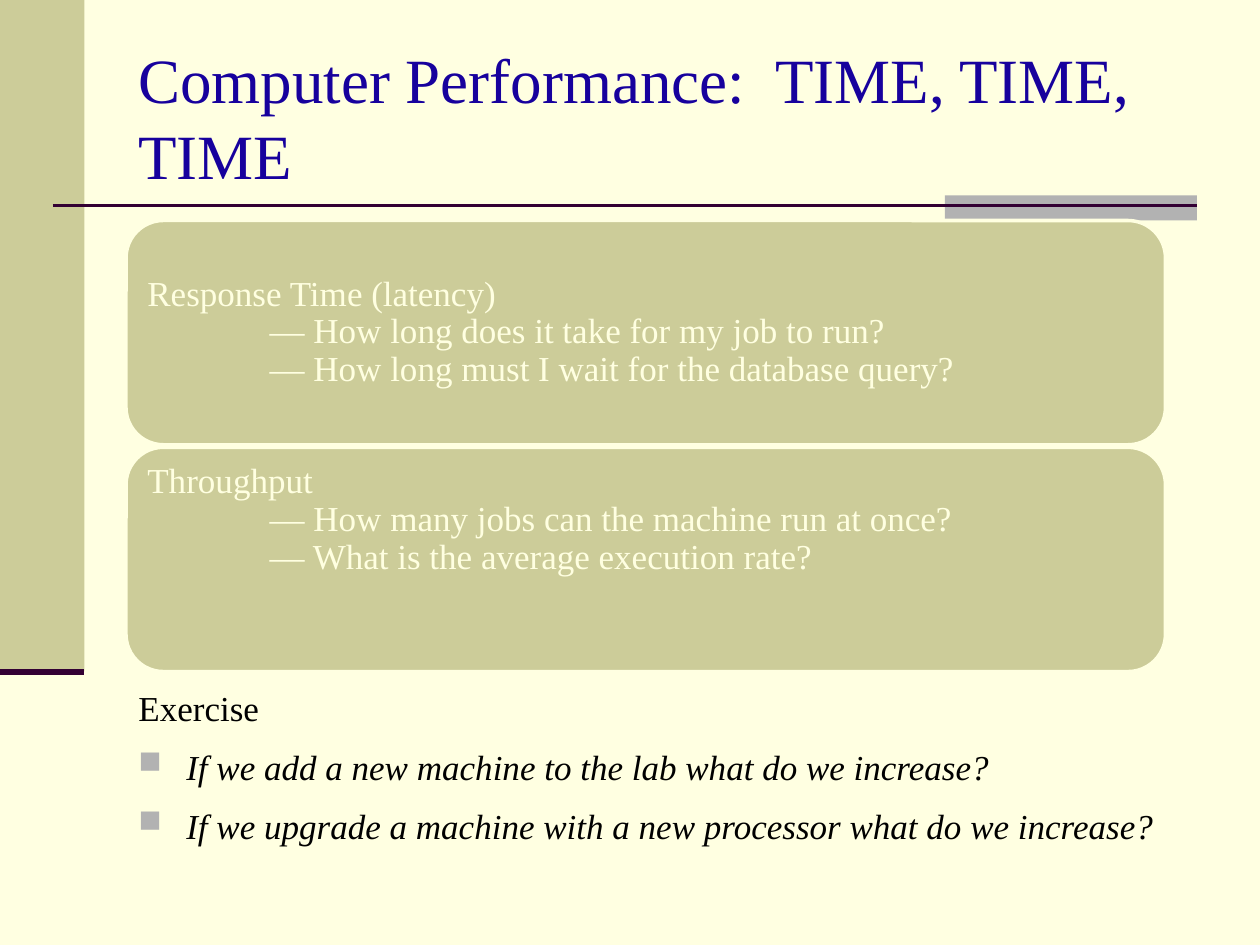
from lxml.etree import SubElement
from pptx import Presentation
from pptx.dml.color import RGBColor
from pptx.enum.shapes import MSO_CONNECTOR, MSO_SHAPE
from pptx.enum.text import MSO_ANCHOR
from pptx.oxml.ns import qn
from pptx.util import Inches, Pt

COLORS = {
    "background": "FFFFE1",
    "khaki": "CCCC99",
    "gray": "B2B2B2",
    "plum": "330033",
    "title": "17019D",
    "text": "000000",
}
FONT = "Times New Roman"
PANELS = [
    ("Response Time (latency)",
     ["— How long does it take for my job to run?",
      "— How long must I wait for the database query?"],
     MSO_ANCHOR.MIDDLE, 0.08),
    ("Throughput",
     ["— How many jobs can the machine run at once?",
      "— What is the average execution rate?"],
     MSO_ANCHOR.TOP, 0.04),
]
QUESTIONS = [
    "If we add a new machine to the lab what do we increase?",
    "If we upgrade a machine with a new processor what do we increase?",
]


def color(name):
    """Return the named palette colour."""
    return RGBColor.from_string(COLORS[name])


def add_block(slide, kind, box, fill, outline=None):
    """Add a filled shape with an optional outline."""
    shape = slide.shapes.add_shape(kind, *map(Inches, box))
    shape.shadow.inherit = False
    shape.fill.solid()
    shape.fill.fore_color.rgb = color(fill)
    if outline:
        shape.line.color.rgb = color(outline)
        shape.line.width = Pt(2)
    else:
        shape.line.fill.background()


def add_rule(slide, left, right, top, width):
    """Add a horizontal rule without a shadow."""
    line = slide.shapes.add_connector(
        MSO_CONNECTOR.STRAIGHT, Inches(left), Inches(top), Inches(right), Inches(top))
    line.line.color.rgb = color("plum")
    line.line.width = Pt(width)
    SubElement(line._element.spPr, qn("a:effectLst"))


def add_frame(slide, box, anchor=MSO_ANCHOR.TOP, inset=None, top_inset=0.05):
    """Add a wrapping text box and return its text frame."""
    frame = slide.shapes.add_textbox(*map(Inches, box)).text_frame
    frame.word_wrap = True
    frame.vertical_anchor = anchor
    if inset is not None:
        frame.margin_left = frame.margin_right = frame.margin_bottom = Inches(inset)
    frame.margin_top = Inches(top_inset)
    return frame


def add_text(frame, text, size=20, fill="text", italic=False, spacing=1.0,
             before=0, indent=0, bullet=False):
    """Write one formatted paragraph into a text frame."""
    first = frame.paragraphs[0]
    paragraph = frame.add_paragraph() if first.runs else first
    paragraph.line_spacing = spacing
    paragraph.space_before = Pt(before)
    run = paragraph.add_run()
    run.text = text
    run.font.name = FONT
    run.font.size = Pt(size)
    run.font.italic = italic
    run.font.color.rgb = color(fill)
    properties = paragraph._p.get_or_add_pPr()
    properties.set("marL", str(Inches(indent)))
    if bullet:
        properties.set("indent", str(-Inches(indent)))
        bullet_color = SubElement(properties, qn("a:buClr"))
        SubElement(bullet_color, qn("a:srgbClr"), val=COLORS["gray"])
        SubElement(properties, qn("a:buSzPct"), val="90000")
        SubElement(properties, qn("a:buChar"), char="■")


def add_decoration(slide, left, top):
    """Place the side band, the accent bar and their rules."""
    add_block(slide, MSO_SHAPE.RECTANGLE, (left, top, 0.67, 5.33), "khaki")
    add_block(slide, MSO_SHAPE.RECTANGLE, (left + 7.5, top + 1.55, 2, 0.2), "gray")
    add_rule(slide, left + 0.42, left + 9.5, top + 1.63, 1.5)
    add_rule(slide, left, left + 0.67, top + 5.33, 3.5)


def add_title(slide, box):
    """Place the slide title."""
    frame = add_frame(slide, box, MSO_ANCHOR.MIDDLE)
    add_text(frame, "Computer Performance:  TIME, TIME, TIME", size=36, fill="title")


def add_panel(slide, box, heading, points, anchor, top_inset):
    """Place a rounded panel with a heading and indented points."""
    left, top, width, height = box
    margin = 0.09
    add_block(slide, MSO_SHAPE.ROUNDED_RECTANGLE, box, "khaki", "background")
    inner = (left + margin, top + margin, width - 2 * margin, height - 2 * margin)
    frame = add_frame(slide, inner, anchor, 0.08, top_inset)
    add_text(frame, heading, fill="background", spacing=0.9)
    for point in points:
        add_text(frame, point, fill="background", spacing=0.9, indent=0.97)


def add_exercise(slide, box):
    """Place the exercise heading and its bulleted questions."""
    frame = add_frame(slide, box)
    add_text(frame, "Exercise", spacing=1.2, before=5)
    for question in QUESTIONS:
        add_text(frame, question, italic=True, spacing=1.2, before=5,
                 indent=0.38, bullet=True)


def main():
    """Build and save the presentation."""
    presentation = Presentation()
    presentation.slide_width, presentation.slide_height = Inches(10), Inches(7.5)
    slide = presentation.slides.add_slide(presentation.slide_layouts[6])
    slide.background.fill.solid()
    slide.background.fill.fore_color.rgb = color("background")
    add_decoration(slide, 0, 0)
    add_title(slide, (1, 0.3, 8.5, 1.25))
    for index, panel in enumerate(PANELS):
        add_panel(slide, (1, 1.75 + 1.8 * index, 8.25, 1.78), *panel)
    add_exercise(slide, (1, 5.33, 8.42, 1.92))
    presentation.save("out.pptx")


if __name__ == "__main__":
    main()
